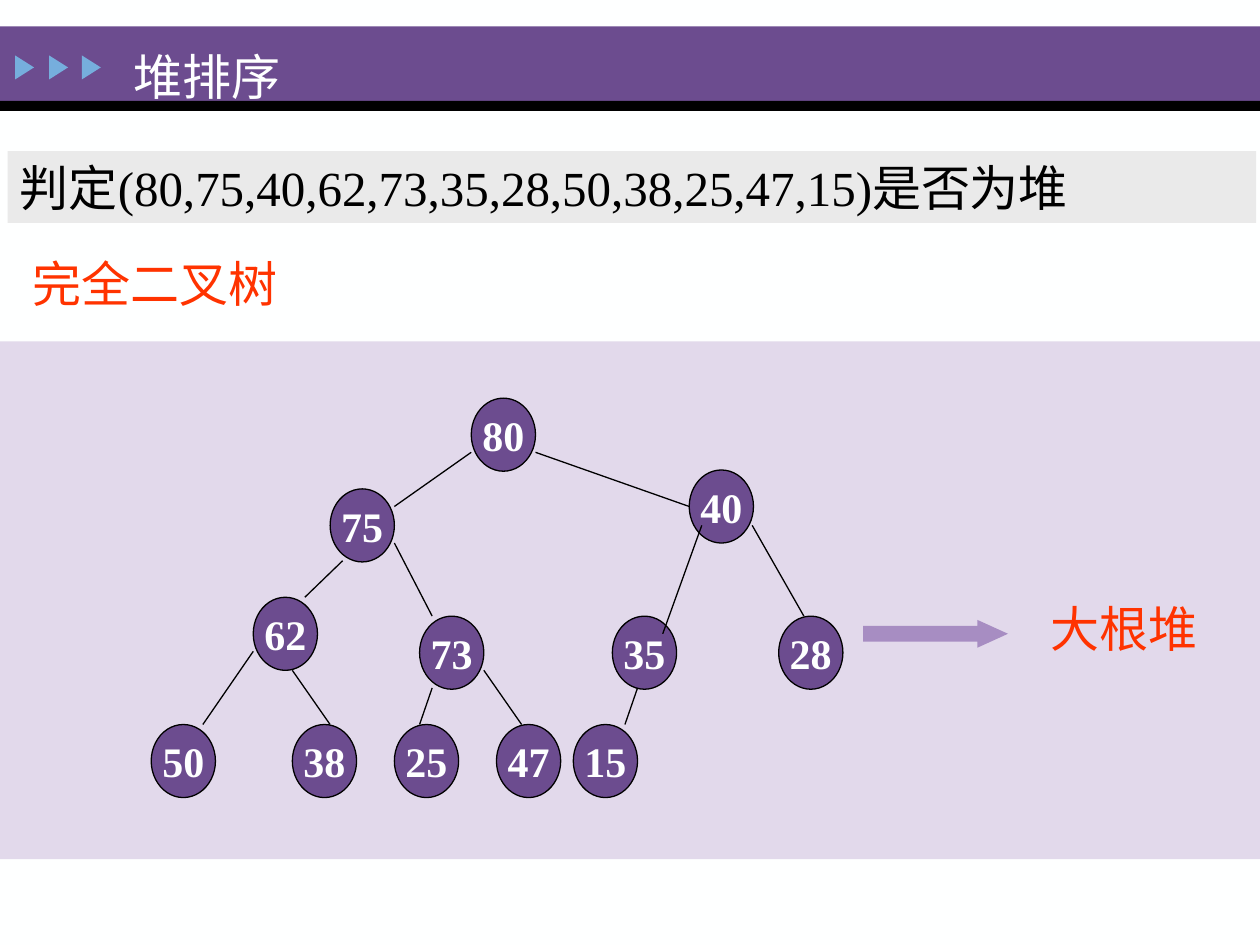
import pptx
import pptx.dml.color
import pptx.enum.shapes
import pptx.enum.text
import pptx.oxml
import pptx.util

Inches = pptx.util.Inches
RGBColor = pptx.dml.color.RGBColor
ShapeType = pptx.enum.shapes.MSO_SHAPE
Anchor = pptx.enum.text.MSO_ANCHOR
Align = pptx.enum.text.PP_ALIGN

FONT = "Times New Roman"
WHITE = RGBColor(0xFE, 0xFF, 0xFF)
BLACK = RGBColor(0, 0, 0)
PURPLE = RGBColor(0x6C, 0x4C, 0x8F)
LAVENDER = RGBColor(0xE2, 0xD9, 0xEB)
LILAC = RGBColor(0xA7, 0x8D, 0xC2)
BLUE = RGBColor(0x76, 0xAE, 0xDD)
GRAY = RGBColor(0xEA, 0xEA, 0xEA)
RED = RGBColor(0xFF, 0x33, 0x00)

NODE_WIDTH, NODE_HEIGHT = 0.51, 0.58
NODES = [
    ("80", 3.74, 3.16),
    ("75", 2.62, 3.88), ("40", 5.47, 3.73),
    ("62", 2.01, 4.74), ("73", 3.33, 4.89),
    ("35", 4.86, 4.89), ("28", 6.18, 4.89),
    ("50", 1.2, 5.75), ("38", 2.32, 5.75), ("25", 3.13, 5.75),
    ("47", 3.94, 5.75), ("15", 4.55, 5.75),
]
EDGES = [
    (3.74, 3.59, 3.13, 4.02), (4.25, 3.59, 5.47, 4.02),
    (2.72, 4.45, 2.42, 4.74), (3.13, 4.31, 3.43, 4.89),
    (5.57, 4.17, 5.26, 5.03), (5.97, 4.17, 6.38, 4.89),
    (2.01, 5.17, 1.61, 5.75), (2.32, 5.32, 2.62, 5.75),
    (3.43, 5.46, 3.33, 5.75), (3.84, 5.32, 4.14, 5.75),
    (5.06, 5.46, 4.96, 5.75),
]


def set_text(shape, text, size=28, color=BLACK, bold=False, align=Align.LEFT,
             anchor=Anchor.TOP, wrap=True, line_spacing=None):
    frame = shape.text_frame
    frame.auto_size = pptx.enum.text.MSO_AUTO_SIZE.NONE
    frame.word_wrap = wrap
    frame.vertical_anchor = anchor
    paragraph = frame.paragraphs[0]
    paragraph.alignment = align
    paragraph.line_spacing = line_spacing
    run = paragraph.add_run()
    run.text = text
    run.font.name = FONT
    run.font.size = pptx.util.Pt(size)
    run.font.bold = bold
    run.font.color.rgb = color


def add_filled_shape(slide, kind, left, top, width, height, fill):
    shape = slide.shapes.add_shape(
        kind, Inches(left), Inches(top), Inches(width), Inches(height))
    shape.shadow.inherit = False
    shape.fill.solid()
    shape.fill.fore_color.rgb = fill
    shape.line.fill.background()
    return shape


def add_label(slide, text, left, top, width, height):
    label = slide.shapes.add_textbox(
        Inches(left), Inches(top), Inches(width), Inches(height))
    set_text(label, text, color=RED, wrap=False)


def add_node(slide, value, left, top):
    node = add_filled_shape(slide, ShapeType.OVAL, left, top,
                            NODE_WIDTH, NODE_HEIGHT, PURPLE)
    node.line.color.rgb = BLACK
    node.line.width = pptx.util.Pt(0.75)
    set_text(node, value, size=24, color=WHITE, bold=True,
             align=Align.CENTER, anchor=Anchor.MIDDLE, wrap=False)


def add_edge(slide, *ends):
    edge = slide.shapes.add_connector(
        pptx.enum.shapes.MSO_CONNECTOR.STRAIGHT, *map(Inches, ends))
    edge.line.color.rgb = BLACK
    edge.line.width = pptx.util.Pt(0.75)
    effects = pptx.oxml.parse_xml(
        '<a:effectLst xmlns:a="http://schemas.openxmlformats.org/drawingml/2006/main"/>')
    edge._element.spPr.append(effects)


def add_header(slide):
    add_filled_shape(slide, ShapeType.RECTANGLE, 0, 0.21, 10, 0.59, PURPLE)
    add_filled_shape(slide, ShapeType.RECTANGLE, 0, 0.8, 10, 0.08, BLACK)
    for left in (0.1, 0.37, 0.63):
        marker = add_filled_shape(slide, ShapeType.ISOSCELES_TRIANGLE,
                                  left, 0.46, 0.19, 0.15, BLUE)
        marker.rotation = 90
    title = slide.shapes.title
    title.left, title.top = Inches(0.96), Inches(0.2)
    title.width, title.height = Inches(1.92), Inches(0.58)
    set_text(title, "堆排序", color=WHITE, line_spacing=1.25)
    slide.shapes._spTree.append(title._element)


def main():
    presentation = pptx.Presentation()
    presentation.slide_width = Inches(10)
    presentation.slide_height = Inches(7.5)
    slide = presentation.slides.add_slide(presentation.slide_layouts[5])
    slide.background.fill.solid()
    slide.background.fill.fore_color.rgb = WHITE

    add_header(slide)
    add_filled_shape(slide, ShapeType.RECTANGLE, 0, 2.71, 10, 4.11, LAVENDER)
    question = add_filled_shape(slide, ShapeType.RECTANGLE, 0.06, 1.2, 9.91, 0.57, GRAY)
    set_text(question, "判定(80,75,40,62,73,35,28,50,38,25,47,15)是否为堆")
    add_label(slide, "完全二叉树", 0.16, 1.96, 2.15, 0.57)

    for node in NODES:
        add_node(slide, *node)
    for edge in EDGES:
        add_edge(slide, *edge)

    arrow = add_filled_shape(slide, ShapeType.RIGHT_ARROW, 6.85, 4.92, 1.15, 0.22, LILAC)
    arrow.adjustments[0] = 0.57
    arrow.adjustments[1] = 1.1
    add_label(slide, "大根堆", 8.24, 4.7, 1.37, 0.57)
    presentation.save("out.pptx")


if __name__ == "__main__":
    main()
